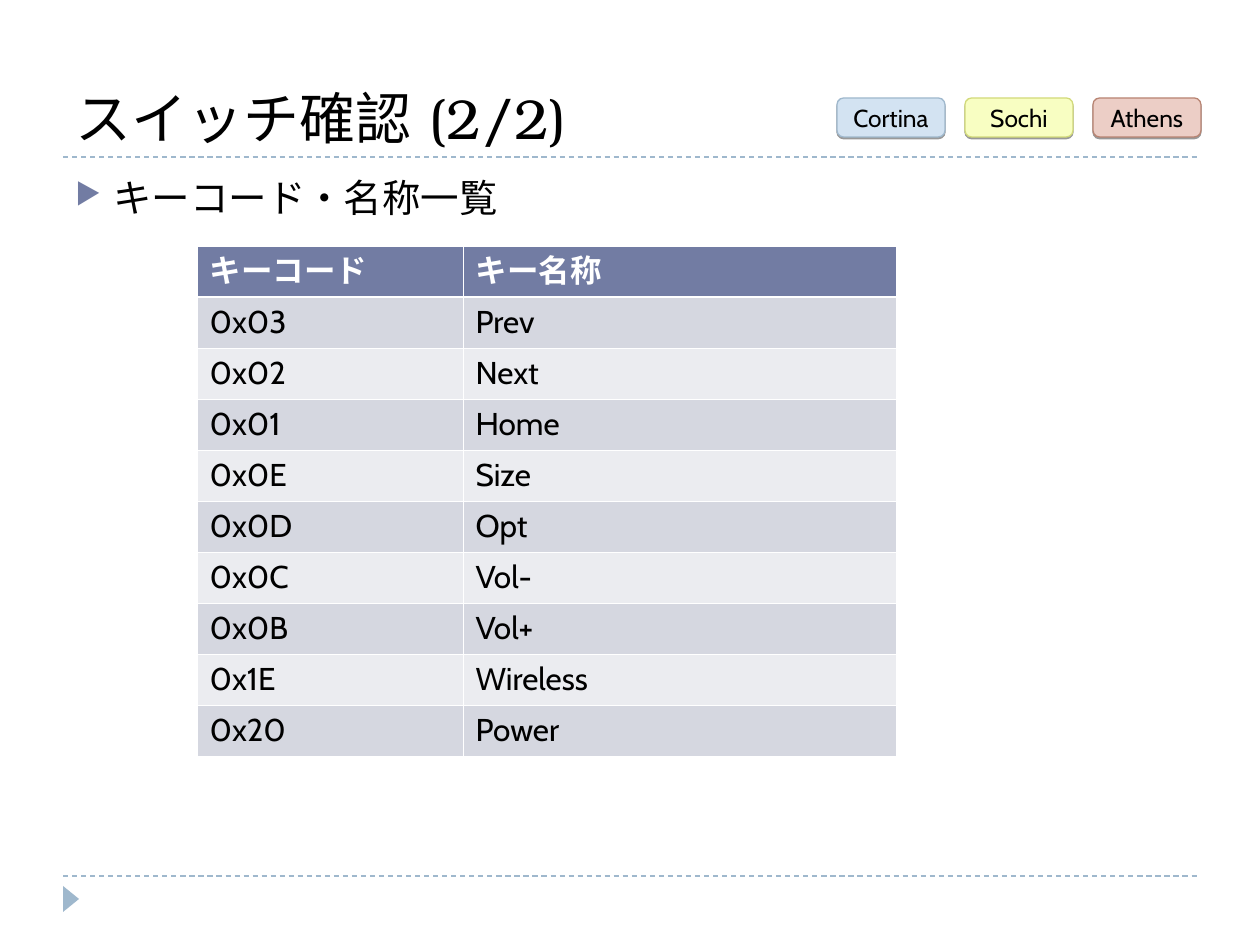
from lxml import etree
from pptx import Presentation
from pptx.dml.color import RGBColor
from pptx.enum.dml import MSO_LINE
from pptx.enum.shapes import MSO_CONNECTOR, MSO_SHAPE
from pptx.enum.text import MSO_ANCHOR, PP_ALIGN
from pptx.oxml.ns import qn
from pptx.util import Pt

PX = 914400 / 126
DASH = MSO_LINE.DASH
STRAIGHT = MSO_CONNECTOR.STRAIGHT
TRIANGLE, ROUNDED = MSO_SHAPE.ISOSCELES_TRIANGLE, MSO_SHAPE.ROUNDED_RECTANGLE
BOTTOM, MIDDLE, TOP = MSO_ANCHOR.BOTTOM, MSO_ANCHOR.MIDDLE, MSO_ANCHOR.TOP
CENTER, LEFT = PP_ALIGN.CENTER, PP_ALIGN.LEFT

BLACK = RGBColor(0x00, 0x00, 0x00)
WHITE = RGBColor(0xFF, 0xFF, 0xFF)
INDIGO = RGBColor(0x72, 0x7C, 0xA3)
STEEL = RGBColor(0x9F, 0xB8, 0xCD)
BAND_DARK = RGBColor(0xD5, 0xD7, 0xE0)
BAND_LIGHT = RGBColor(0xEB, 0xEC, 0xF0)
HEADING_FONT, BODY_FONT = "TeX Gyre Bonum", "Cabin"

TITLE = "スイッチ確認 (2/2)"
SUBTITLE = "キーコード・名称一覧"
BADGES = [  # label, fill, outline
    ("Cortina", RGBColor(0xD3, 0xE3, 0xF2), STEEL),
    ("Sochi", RGBColor(0xF8, 0xFE, 0xC2), RGBColor(0xD2, 0xDA, 0x7A)),
    ("Athens", RGBColor(0xEC, 0xCE, 0xC6), RGBColor(0xB8, 0x84, 0x72)),
]
KEY_ROWS = [
    ("キーコード", "キー名称"),
    ("0x03", "Prev"),
    ("0x02", "Next"),
    ("0x01", "Home"),
    ("0x0E", "Size"),
    ("0x0D", "Opt"),
    ("0x0C", "Vol-"),
    ("0x0B", "Vol+"),
    ("0x1E", "Wireless"),
    ("0x20", "Power"),
]
RULE_LEFT, RULE_RIGHT, RULE_TOPS = 63, 1197, (157, 876)
BADGE_LEFT, BADGE_TOP, BADGE_WIDTH, BADGE_HEIGHT, BADGE_STEP = 837, 98, 108, 39, 128
TABLE_LEFT, TABLE_TOP, COLUMN_WIDTHS, ROW_HEIGHT = 197, 246, (266, 433), 51


def px(*lengths):
    return [round(length * PX) for length in lengths]


def add_element(parent, tag, **attributes):
    return etree.SubElement(parent, qn(tag), attributes)


def write(text_frame, text, size, font=BODY_FONT, color=BLACK, bold=False, align=LEFT):
    text_frame.text = text
    paragraph = text_frame.paragraphs[0]
    paragraph.alignment = align
    for run in paragraph.runs:
        run.font.name, run.font.size, run.font.bold = font, Pt(size), bold
        run.font.color.rgb = color
        add_element(run.font._element, "a:ea", typeface=font)
    return paragraph


def add_text(slide, box, text, size, font, anchor):
    text_frame = slide.shapes.add_textbox(*px(*box)).text_frame
    text_frame.word_wrap = True
    text_frame.vertical_anchor = anchor
    return write(text_frame, text, size, font)


def add_bullet(paragraph):
    indent = px(38)[0]
    properties = paragraph._p.get_or_add_pPr()
    properties.set("marL", str(indent))
    properties.set("indent", str(-indent))
    add_element(add_element(properties, "a:buClr"), "a:srgbClr", val=str(INDIGO))
    add_element(properties, "a:buSzPct", val="76000")
    add_element(properties, "a:buChar", char="▶")


def add_rule(slide, top):
    rule = slide.shapes.add_connector(STRAIGHT, *px(RULE_LEFT, top, RULE_RIGHT, top))
    rule.line.color.rgb = STEEL
    rule.line.width = Pt(0.75)
    rule.line.dash_style = DASH
    add_element(rule._element.spPr, "a:effectLst")


def add_page_marker(slide):
    marker = slide.shapes.add_shape(TRIANGLE, *px(58, 891, 26, 16))
    marker.rotation = 90
    marker.shadow.inherit = False
    marker.fill.solid()
    marker.fill.fore_color.rgb = STEEL
    marker.line.fill.background()


def add_badge(slide, left, label, fill, outline):
    badge = slide.shapes.add_shape(ROUNDED, *px(left, BADGE_TOP, BADGE_WIDTH, BADGE_HEIGHT))
    badge.fill.solid()
    badge.fill.fore_color.rgb = fill
    badge.line.color.rgb = outline
    badge.line.width = Pt(0.75)
    badge.shadow.inherit = False
    effects = badge._element.spPr.find(qn("a:effectLst"))
    shadow = add_element(effects, "a:outerShdw", blurRad="0", dist=str(Pt(1)),
                         dir="5400000", rotWithShape="0")
    add_element(add_element(shadow, "a:srgbClr", val=str(BLACK)), "a:alpha", val="40000")
    badge.text_frame.vertical_anchor = MIDDLE
    write(badge.text_frame, label, 14, align=CENTER)


def set_borders(cell, widths):
    """Draw white cell borders; they must precede the fill in the cell properties."""
    properties = cell._tc.get_or_add_tcPr()
    for position, (side, width) in enumerate(widths.items()):
        border = etree.Element(qn(f"a:ln{side}"), w=str(Pt(width)))
        add_element(add_element(border, "a:solidFill"), "a:srgbClr", val=str(WHITE))
        properties.insert(position, border)


def add_key_table(slide):
    row_count = len(KEY_ROWS)
    frame = slide.shapes.add_table(
        row_count, len(COLUMN_WIDTHS),
        *px(TABLE_LEFT, TABLE_TOP, sum(COLUMN_WIDTHS), ROW_HEIGHT * row_count))
    table = frame.table
    for column, width in zip(table.columns, COLUMN_WIDTHS):
        column.width = px(width)[0]
    for row_index, values in enumerate(KEY_ROWS):
        table.rows[row_index].height = px(ROW_HEIGHT)[0]
        header = row_index == 0
        fill = INDIGO if header else BAND_DARK if row_index % 2 else BAND_LIGHT
        widths = {"L": 0.45, "R": 0.45,
                  "T": 1.47 if row_index == 1 else 0.45,
                  "B": 1.47 if header else 0.45}
        for column_index, value in enumerate(values):
            cell = table.cell(row_index, column_index)
            cell.fill.solid()
            cell.fill.fore_color.rgb = fill
            set_borders(cell, widths)
            write(cell.text_frame, value, 18, color=WHITE if header else BLACK, bold=header)


def main():
    presentation = Presentation()
    presentation.slide_width, presentation.slide_height = px(1260, 945)
    slide = presentation.slides.add_slide(presentation.slide_layouts[6])
    for top in RULE_TOPS:
        add_rule(slide, top)
    add_page_marker(slide)
    add_text(slide, (63, 21, 1134, 136), TITLE, 32, HEADING_FONT, BOTTOM)
    add_bullet(add_text(slide, (63, 168, 1134, 680), SUBTITLE, 22, BODY_FONT, TOP))
    for index, badge in enumerate(BADGES):
        add_badge(slide, BADGE_LEFT + index * BADGE_STEP, *badge)
    add_key_table(slide)
    presentation.save("out.pptx")


if __name__ == "__main__":
    main()
